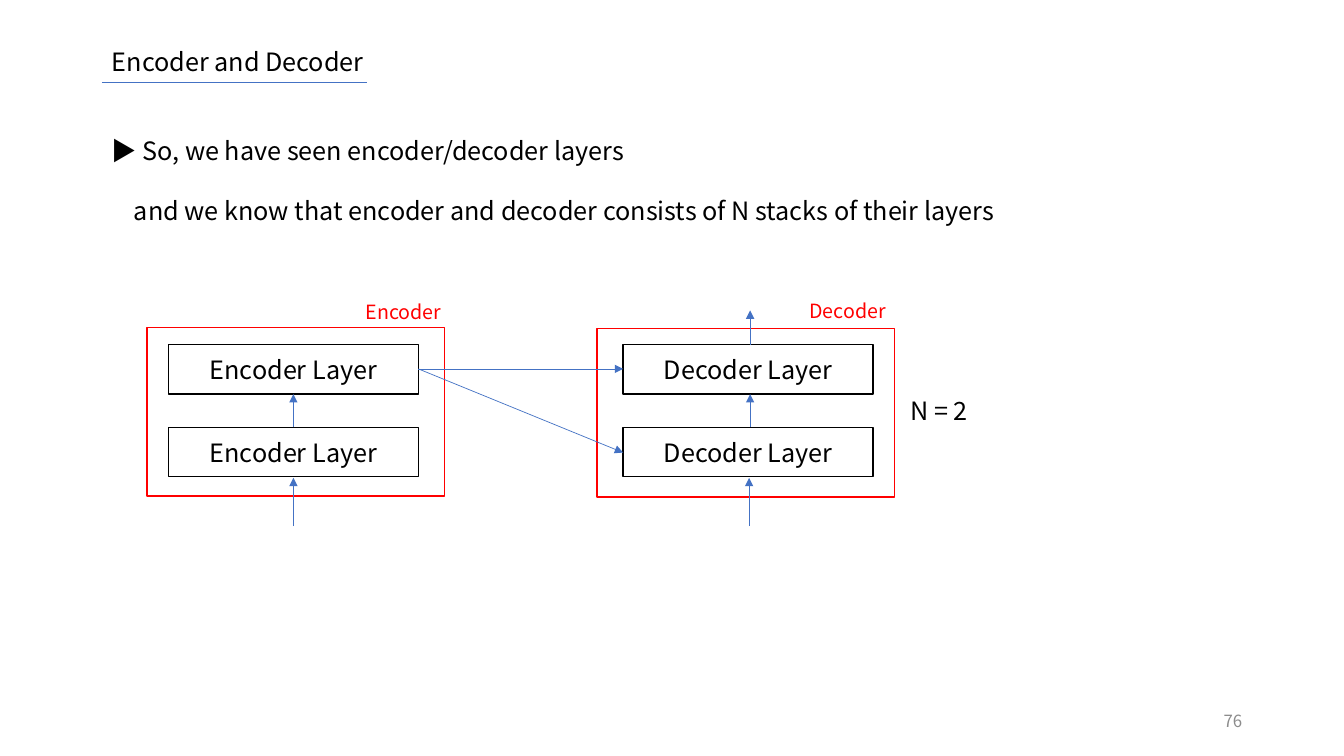
from pptx import Presentation
from pptx.dml.color import RGBColor
from pptx.enum.shapes import MSO_CONNECTOR as Connector, MSO_SHAPE as Shape
from pptx.enum.text import MSO_ANCHOR as Anchor, PP_ALIGN as Align
from pptx.oxml.ns import qn
from pptx.util import Inches, Pt
from lxml import etree

FONT = "Noto Sans CJK KR"
BLACK, RED, BLUE, GRAY, WHITE = "000000", "FF0000", "4472C4", "8C8C8C", "FFFFFF"


def write(shape, text, size=18, color=BLACK, align=Align.LEFT, anchor=Anchor.TOP):
    frame = shape.text_frame
    frame.word_wrap = True
    frame.vertical_anchor = anchor
    frame.text = text
    for paragraph in frame.paragraphs:
        paragraph.alignment = align
        paragraph.font.size = Pt(size)
        paragraph.font.name = FONT
        paragraph.font.color.rgb = RGBColor.from_string(color)


def add_line(start, end, arrow=True):
    points = [Inches(value) for value in (*start, *end)]
    line = slide.shapes.add_connector(Connector.STRAIGHT, *points)
    line.line.color.rgb = RGBColor.from_string(BLUE)
    line.line.width = Pt(0.5)
    if arrow:
        etree.SubElement(line.line._get_or_add_ln(), qn("a:tailEnd"), type="triangle")
    etree.SubElement(line._element.spPr, qn("a:effectLst"))


presentation = Presentation()
presentation.slide_width = Inches(13.33)
presentation.slide_height = Inches(7.5)
slide = presentation.slides.add_slide(presentation.slide_layouts[5])

# Title with its underline
title = slide.shapes.title
title.left, title.top = Inches(1.01), Inches(0.41)
title.width, title.height = Inches(4.56), Inches(0.4)
write(title, "Encoder and Decoder")
add_line((1.01, 0.82), (3.64, 0.82), arrow=False)

# Text boxes
body_text = (
    "▶ So, we have seen encoder/decoder layers\n"
    "and we know that encoder and decoder consists of N stacks of their layers"
)
body = slide.shapes.add_textbox(Inches(1.01), Inches(1.29), Inches(11.82), Inches(1.01))
write(body, body_text)
continuation = body.text_frame.paragraphs[1]
continuation.space_before = Pt(21.4)
continuation._p.get_or_add_pPr().set("marL", str(Inches(0.22)))

for text, left, top, width, height, style in [
    ("Encoder", 3.53, 2.93, 2.11, 0.34, {"size": 14, "color": RED}),
    ("Decoder", 7.93, 2.92, 2.11, 0.34, {"size": 14, "color": RED}),
    ("N = 2", 8.93, 3.87, 1.4, 0.4, {}),
    ("76", 9.42, 6.95, 3, 0.4,
     {"size": 12, "color": GRAY, "align": Align.RIGHT, "anchor": Anchor.MIDDLE}),
]:
    box = slide.shapes.add_textbox(Inches(left), Inches(top), Inches(width), Inches(height))
    write(box, text, **style)

# Two stacks, each a red frame around two layers
layer_tops = (3.42, 4.24)
for name, layer_left, frame_left, frame_top in [
    ("Encoder", 1.67, 1.46, 3.25),
    ("Decoder", 6.18, 5.92, 3.26),
]:
    stack = [(f"{name} Layer", layer_left, top, 2.48, 0.49, BLACK) for top in layer_tops]
    stack.append(("", frame_left, frame_top, 2.95, 1.67, RED))
    for text, left, top, width, height, outline in stack:
        block = slide.shapes.add_shape(
            Shape.RECTANGLE, Inches(left), Inches(top), Inches(width), Inches(height))
        block.shadow.inherit = False
        block.line.color.rgb = RGBColor.from_string(outline)
        block.line.width = Pt(1)
        if text:
            block.fill.solid()
            block.fill.fore_color.rgb = RGBColor.from_string(WHITE)
            write(block, text, align=Align.CENTER, anchor=Anchor.MIDDLE)
        else:
            block.fill.background()

# Data flow
for start, end in [
    ((2.91, 5.22), (2.91, 4.74)),
    ((2.91, 4.24), (2.91, 3.91)),
    ((7.43, 5.22), (7.43, 4.74)),
    ((7.44, 4.24), (7.44, 3.91)),
    ((7.44, 3.42), (7.44, 3.08)),
    ((4.15, 3.66), (6.18, 3.66)),
    ((4.15, 3.66), (6.18, 4.49)),
]:
    add_line(start, end)

presentation.save("out.pptx")
